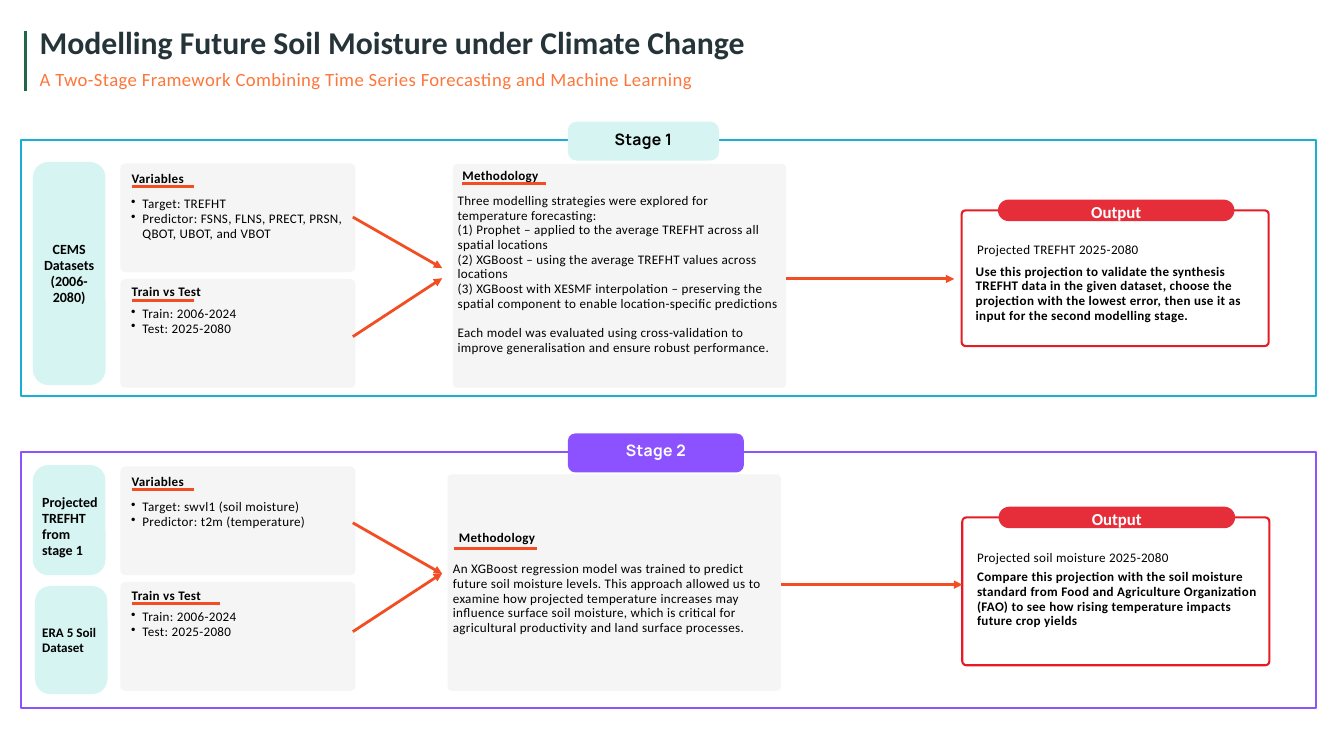
from dataclasses import dataclass

from lxml import etree
from pptx import Presentation
from pptx import util as u
from pptx.dml.color import RGBColor
from pptx.enum import shapes, text
from pptx.oxml.ns import qn

COLUMNS, ROWS = 20, 11.25
LEFT, CENTER, JUSTIFY = text.PP_ALIGN.LEFT, text.PP_ALIGN.CENTER, text.PP_ALIGN.JUSTIFY


@dataclass(frozen=True)
class TextStyle:
    size: float
    leading: float
    colour: str = "000000"
    bold: bool = False
    tracking: int = 0
    font: str = "Calibri"


class Theme:
    mint, grey, red, outline = "D6F5F2", "F5F5F5", "E62E3A", "E61C24"
    teal, violet, orange, green = "18AFD6", "8C52FF", "F34D24", "206648"
    white, black = "FFFFFF", "000000"
    title = TextStyle(34, 36, "253439", True)
    subtitle = TextStyle(20, 22.4, "FE763A", tracking=40)
    body = TextStyle(14, 15.7, tracking=30)
    strong = TextStyle(14, 15.7, bold=True, tracking=30)
    source = TextStyle(15, 17.2, bold=True)
    small_source = TextStyle(14, 16.1, bold=True)
    output = TextStyle(18, 25.2, white, True)

    @staticmethod
    def stage(colour):
        return TextStyle(16.9, 18.9, colour, True, 30, "Manrope")


class Board:
    """Draws on one page; lengths are columns and rows of a 20 by 11.25 grid."""

    def __init__(self, deck):
        self.page = deck.slides.add_slide(deck.slide_layouts[6])
        self.column = deck.slide_width / COLUMNS
        self.row = deck.slide_height / ROWS

    def place(self, x, y):
        return round(x * self.column), round(y * self.row)

    def fill_text(self, frame, lines, style, align=LEFT, bullet=False, gap_before_last=0):
        frame.word_wrap = True
        frame.text = "\n".join(lines)
        for para in frame.paragraphs:
            para.alignment = align
            para.line_spacing = u.Pt(style.leading)
            if bullet:
                props = para._p.get_or_add_pPr()
                props.set("marL", str(u.Inches(0.33)))
                props.set("indent", str(u.Inches(-0.17)))
                etree.SubElement(props, qn("a:buChar")).set("char", "•")
            for span in para.runs:
                span.font.name, span.font.size = style.font, u.Pt(style.size)
                span.font.bold = style.bold
                span.font.color.rgb = RGBColor.from_string(style.colour)
                span._r.get_or_add_rPr().set("spc", str(style.tracking))
        if gap_before_last:
            frame.paragraphs[-1].space_before = u.Pt(gap_before_last)

    def inset(self, frame, left=0, top=0, right=0, bottom=0):
        frame.margin_left, frame.margin_top = self.place(left, top)
        frame.margin_right, frame.margin_bottom = self.place(right, bottom)

    def words(self, x, y, width, height, lines, style, **layout):
        box = self.page.shapes.add_textbox(*self.place(x, y), *self.place(width, height))
        self.inset(box.text_frame)
        self.fill_text(box.text_frame, lines, style, **layout)

    def panel(self, x, y, width, height, radius=0, fill=None, line=None):
        kind = shapes.MSO_SHAPE.ROUNDED_RECTANGLE if radius else shapes.MSO_SHAPE.RECTANGLE
        shape = self.page.shapes.add_shape(kind, *self.place(x, y), *self.place(width, height))
        shape.shadow.inherit = False
        if radius:
            shape.adjustments[0] = radius / min(width, height)
        if fill:
            shape.fill.solid()
            shape.fill.fore_color.rgb = RGBColor.from_string(fill)
        else:
            shape.fill.background()
        if line:
            shape.line.color.rgb = RGBColor.from_string(line)
            shape.line.width = u.Pt(2.25)
        else:
            shape.line.fill.background()
        return shape

    def label(self, shape, words, style, align=CENTER, **insets):
        frame = shape.text_frame
        frame.vertical_anchor = text.MSO_ANCHOR.MIDDLE
        self.inset(frame, **insets)
        self.fill_text(frame, [words], style, align)

    def stroke(self, start, end, colour=Theme.orange, weight=3, arrow=False):
        line = self.page.shapes.add_connector(
            shapes.MSO_CONNECTOR.STRAIGHT, *self.place(*start), *self.place(*end))
        line.line.color.rgb = RGBColor.from_string(colour)
        line.line.width = u.Pt(weight)
        if arrow:
            etree.SubElement(line.line._get_or_add_ln(), qn("a:tailEnd")).set("type", "triangle")
        etree.SubElement(line._element.spPr, qn("a:effectLst"))

    def heading(self, x, y, words, rule_x, rule_y, rule_width):
        self.words(x, y, 1.4, 0.21, [words], Theme.strong)
        self.stroke((rule_x, rule_y), (rule_x + rule_width, rule_y))

    def stage(self, top, name, width, radius, colour, tab_fill, ink):
        self.panel(0.31, top, 19.27, 3.8, line=colour)
        tab = self.panel(8.45, top - 0.28, width, 0.58, radius, tab_fill)
        self.label(tab, name, Theme.stage(ink), bottom=0.05)

    def source(self, x, y, height, words, style, align=LEFT, **insets):
        self.label(self.panel(x, y, 1.08, height, 0.23, Theme.mint), words, style, align, **insets)

    def data_cards(self, top, variables, test_rule):
        """Two cards, one above the other, each with a heading and bullets."""
        cards = (("Variables", variables, 0.12, 0.5, 0.93),
                 ("Train vs Test", ["Train: 2006-2024", "Test: 2025-2080"], 0.09, 0.41, test_rule))
        for index, (title, items, lead, list_top, rule) in enumerate(cards):
            y = top + index * 1.72
            self.panel(1.79, y, 3.5, 1.62, 0.08, Theme.grey)
            self.heading(1.96, y + lead, title, 1.96, y + lead + 0.23, rule)
            self.words(1.79, y + list_top, 3.5, 0.63, items, Theme.body, bullet=True)

    def output(self, x, y, height, result, result_y, advice, advice_x, advice_y):
        self.panel(x, y, 4.57, height, 0.06, line=Theme.outline)
        pill = self.panel(x + 0.54, y - 0.16, 3.52, 0.32, 0.16, Theme.red)
        self.label(pill, "Output", Theme.output)
        self.words(14.54, result_y, 4.17, 0.21, [result], Theme.body)
        self.words(advice_x, advice_y, 4.17, 1.05, [advice], Theme.strong)


def main():
    deck = Presentation()
    deck.slide_width, deck.slide_height = u.Inches(COLUMNS), u.Inches(ROWS)
    board = Board(deck)

    board.stroke((0.38, 0.46), (0.38, 1.35), Theme.green, 3.75)
    board.words(0.59, 0.4, 17.49, 0.52,
                ["Modelling Future Soil Moisture under Climate Change"], Theme.title)
    board.words(0.59, 1.03, 16.74, 0.32,
                ["A Two-Stage Framework Combining Time Series Forecasting and Machine Learning"],
                Theme.subtitle, align=JUSTIFY)

    board.stage(2.09, "Stage 1", 2.25, 0.13, Theme.teal, Theme.mint, Theme.black)
    board.source(0.49, 2.41, 3.32, "CEMS Datasets (2006-2080)", Theme.source, CENTER,
                 left=0.04, right=0.04)
    board.data_cards(2.43, ["Target: TREFHT",
                            "Predictor: FSNS, FLNS, PRECT, PRSN, QBOT, UBOT, and VBOT"], 0.93)
    board.panel(6.74, 2.44, 4.96, 3.33, 0.06, Theme.grey)
    board.heading(6.88, 2.51, "Methodology", 6.88, 2.73, 1.24)
    board.words(6.81, 2.88, 4.81, 2.71, [
        "Three modelling strategies were explored for temperature forecasting:",
        "(1) Prophet – applied to the average TREFHT across all spatial locations",
        "(2) XGBoost – using the average TREFHT values across locations",
        "(3) XGBoost with XESMF interpolation – preserving the spatial component "
        "to enable location-specific predictions",
        "Each model was evaluated using cross-validation to improve generalisation "
        "and ensure robust performance.",
    ], Theme.body, gap_before_last=Theme.body.leading)
    board.output(14.31, 3.13, 2.02, "Projected TREFHT 2025-2080", 3.61,
                 "Use this projection to validate the synthesis TREFHT data in the given dataset, "
                 "choose the projection with the lowest error, then use it as input for the "
                 "second modelling stage.", 14.52, 3.93)

    board.stage(6.73, "Stage 2", 2.62, 0.11, Theme.violet, Theme.violet, Theme.white)
    board.source(0.49, 6.92, 1.64, "Projected TREFHT from stage 1", Theme.source,
                 left=0.07, top=0.18)
    board.source(0.52, 8.72, 1.61, "ERA 5 Soil Dataset", Theme.small_source, left=0.04)
    board.data_cards(6.94, ["Target: swvl1 (soil moisture)", "Predictor: t2m (temperature)"], 1.31)
    board.panel(6.66, 7.06, 4.96, 3.22, 0.06, Theme.grey)
    board.heading(6.83, 7.9, "Methodology", 6.75, 8.16, 1.24)
    board.words(6.74, 8.36, 4.81, 1.05, [
        "An XGBoost regression model was trained to predict future soil moisture levels. "
        "This approach allowed us to examine how projected temperature increases may influence "
        "surface soil moisture, which is critical for agricultural productivity and land "
        "surface processes."], Theme.body)
    board.output(14.32, 7.7, 2.2, "Projected soil moisture 2025-2080", 8.19,
                 "Compare this projection with the soil moisture standard from Food and "
                 "Agriculture Organization (FAO) to see how rising temperature impacts "
                 "future crop yields", 14.54, 8.48)

    arrows = (((5.25, 3.23), (6.58, 3.99)), ((5.25, 5.01), (6.58, 4.14)),
              ((11.69, 4.15), (14.2, 4.15)), ((5.25, 7.78), (6.58, 8.54)),
              ((5.25, 9.4), (6.58, 8.53)), ((11.62, 8.7), (14.32, 8.7)))
    for start, end in arrows:
        board.stroke(start, end, arrow=True)

    deck.save("out.pptx")


if __name__ == "__main__":
    main()
